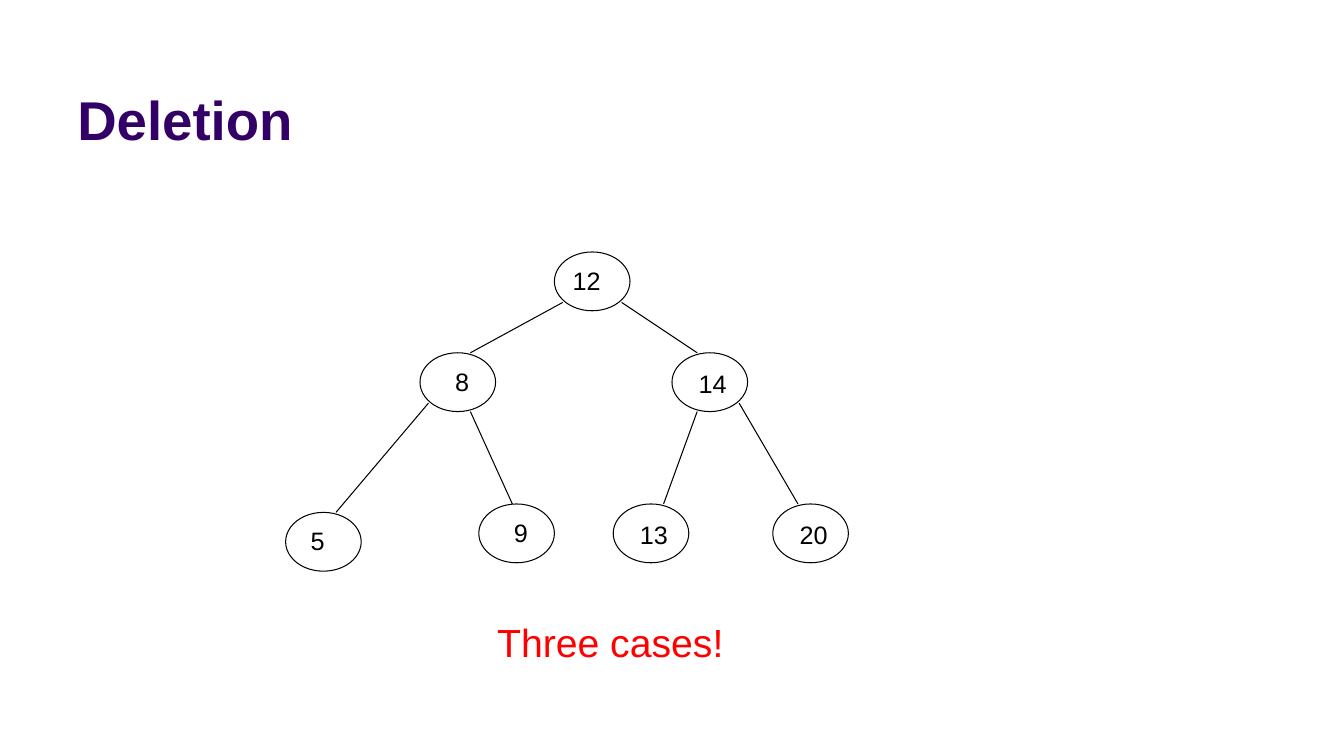
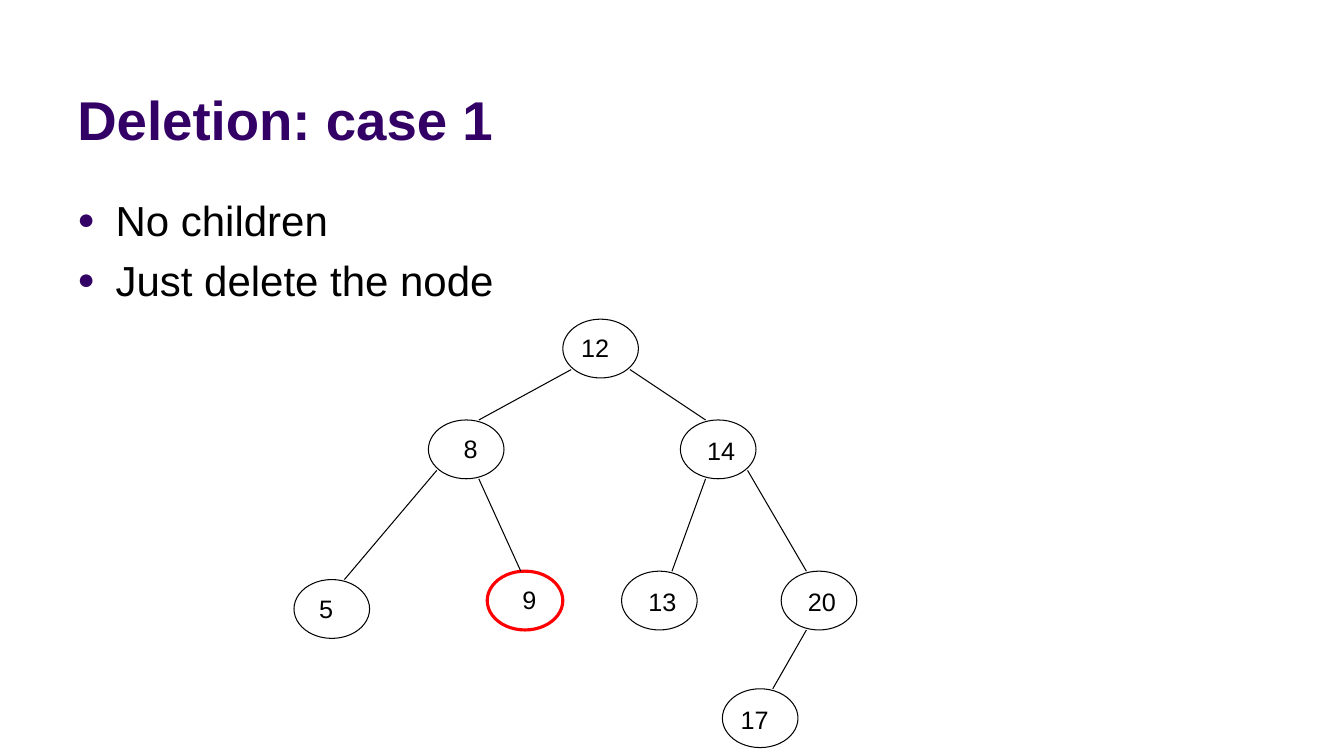
from lxml.etree import SubElement
from pptx import Presentation
from pptx.dml.color import RGBColor
from pptx.enum.shapes import MSO_CONNECTOR, MSO_SHAPE
from pptx.enum.text import MSO_ANCHOR, MSO_AUTO_SIZE, PP_ALIGN
from pptx.oxml.ns import qn
from pptx.util import Inches, Pt

INK, PURPLE, RED, PAPER = "000000", "330066", "FF0000", "FFFFFF"
COLUMNS, ROWS = 160, 90
CELL = Inches(1 / 12)
NODE_WIDTH, NODE_HEIGHT = 9, 7
LABEL_SIZE = (8, 4.8)

TITLE_BOX = (8, 1.6, 132, 17)
LIST_BOX = (8, 22.5, 144, 57.8)
CAPTION_BOX = (58, 73, 34, 6.8)

TITLE_FONT = {"size": Pt(39), "bold": True}
LIST_FONT = {"size": Pt(30), "bold": False}
LABEL_FONT = {"size": Pt(18)}
CAPTION_FONT = {"size": Pt(28)}

NODES = {
    "12": ((32, 0), (1, 1)),
    "8": ((16, 12), (3, 1)),
    "14": ((46, 12), (2, 1.2)),
    "5": ((0, 31), (1.8, 1)),
    "9": ((23, 30), (3, 1)),
    "13": ((39, 30), (2, 1.2)),
    "20": ((58, 30), (2, 1.2)),
    "17": ((51, 44), (1, 1.2)),
}
LOWER_LEFT, LOWER_RIGHT = (1, 6), (8, 6)
BOTTOM_LEFT, BOTTOM_RIGHT = (3, 7), (6, 7)
TOP_LEFT, TOP_MIDDLE, TOP_RIGHT = (3, 0), (4, 0), (6, 0)
EDGES = [
    ("12", LOWER_LEFT, "8", TOP_RIGHT),
    ("12", LOWER_RIGHT, "14", TOP_LEFT),
    ("8", LOWER_LEFT, "5", TOP_RIGHT),
    ("8", BOTTOM_RIGHT, "9", TOP_MIDDLE),
    ("14", BOTTOM_LEFT, "13", TOP_RIGHT),
    ("14", LOWER_RIGHT, "20", TOP_LEFT),
    ("20", BOTTOM_LEFT, "17", TOP_RIGHT),
]
SMALL_TREE = ["12", "8", "14", "5", "9", "13", "20"]
FULL_TREE = SMALL_TREE + ["17"]


def grid(*cells):
    """Turn grid columns and rows into slide lengths."""
    return [round(cell * CELL) for cell in cells]


def shift(origin, offset):
    """Move a grid point by an offset."""
    return origin[0] + offset[0], origin[1] + offset[1]


def paint(color_format, color):
    """Give a colour format a hex colour."""
    color_format.rgb = RGBColor.from_string(color)


def style(target, values):
    """Set each format value as an attribute."""
    for attribute, value in values.items():
        setattr(target, attribute, value)


def write(shape, lines, font, color, anchor=MSO_ANCHOR.TOP):
    """Fill a text shape with left-aligned lines."""
    frame = shape.text_frame
    frame.text = "\n".join(lines)
    style(frame, {"word_wrap": True, "auto_size": MSO_AUTO_SIZE.NONE,
                  "vertical_anchor": anchor})
    for paragraph in frame.paragraphs:
        paragraph.alignment = PP_ALIGN.LEFT
        style(paragraph.runs[0].font, {"name": "Arial", **font})
        paint(paragraph.runs[0].font.color, color)


def place(shape, box):
    """Move a placeholder into a grid box."""
    style(shape, dict(zip(("left", "top", "width", "height"), grid(*box))))


def add_text(slide, box, text, font, color):
    """Add a text box in a grid box."""
    write(slide.shapes.add_textbox(*grid(*box)), [text], font, color)


def add_bullet(paragraph):
    """Give a paragraph a hanging purple bullet."""
    paragraph.space_before = Pt(7)
    properties = paragraph._p.get_or_add_pPr()
    style_indent = {"marL": Inches(0.38), "indent": -Inches(0.38)}
    for name, length in style_indent.items():
        properties.set(name, str(int(length)))
    bullet_color = SubElement(properties, qn("a:buClr"))
    SubElement(bullet_color, qn("a:srgbClr"), val=PURPLE)
    SubElement(properties, qn("a:buSzPct"), val="70000")
    SubElement(properties, qn("a:buFont"), typeface="Arial")
    SubElement(properties, qn("a:buChar"), char="●")


def add_node(slide, origin, value, marked):
    """Draw one tree node with its label."""
    position, label_offset = NODES[value]
    corner = shift(origin, position)
    label_box = (*shift(corner, label_offset), *LABEL_SIZE)
    add_text(slide, label_box, value, LABEL_FONT, INK)
    oval = slide.shapes.add_shape(
        MSO_SHAPE.OVAL, *grid(*corner, NODE_WIDTH, NODE_HEIGHT))
    oval.shadow.inherit = False
    oval.fill.background()
    oval.line.width = Pt(2.25 if marked else 0.75)
    paint(oval.line.color, RED if marked else INK)


def add_edge(slide, start, end):
    """Draw a thin line between two grid points."""
    edge = slide.shapes.add_connector(
        MSO_CONNECTOR.STRAIGHT, *grid(*start, *end))
    edge.line.width = Pt(0.75)
    paint(edge.line.color, INK)
    SubElement(edge._element.spPr, qn("a:effectLst"))


def add_tree(slide, origin, values, marked=None):
    """Draw the chosen nodes and the edges among them."""
    for value in values:
        add_node(slide, origin, value, value == marked)
    for parent, leaving, child, landing in EDGES:
        if child in values:
            add_edge(slide, shift(shift(origin, NODES[parent][0]), leaving),
                     shift(shift(origin, NODES[child][0]), landing))


def add_titled_slide(deck, layout, title):
    """Add a white slide with the shared title style."""
    slide = deck.slides.add_slide(deck.slide_layouts[layout])
    slide.background.fill.solid()
    paint(slide.background.fill.fore_color, PAPER)
    place(slide.shapes.title, TITLE_BOX)
    write(slide.shapes.title, [title], TITLE_FONT, PURPLE, MSO_ANCHOR.BOTTOM)
    return slide


def add_overview(deck):
    """Build the slide that introduces deletion."""
    slide = add_titled_slide(deck, 5, "Deletion")
    add_tree(slide, (34, 30), SMALL_TREE)
    add_text(slide, CAPTION_BOX, "Three cases!", CAPTION_FONT, RED)


def add_leaf_case(deck):
    """Build the slide about deleting a leaf."""
    slide = add_titled_slide(deck, 1, "Deletion: case 1")
    steps = slide.placeholders[1]
    place(steps, LIST_BOX)
    write(steps, ["No children", "Just delete the node"], LIST_FONT, INK)
    for paragraph in steps.text_frame.paragraphs:
        add_bullet(paragraph)
    add_tree(slide, (35, 38), FULL_TREE, marked="9")


def main():
    """Build and save the deck."""
    deck = Presentation()
    deck.slide_width, deck.slide_height = grid(COLUMNS, ROWS)
    add_overview(deck)
    add_leaf_case(deck)
    deck.save("out.pptx")


if __name__ == "__main__":
    main()
